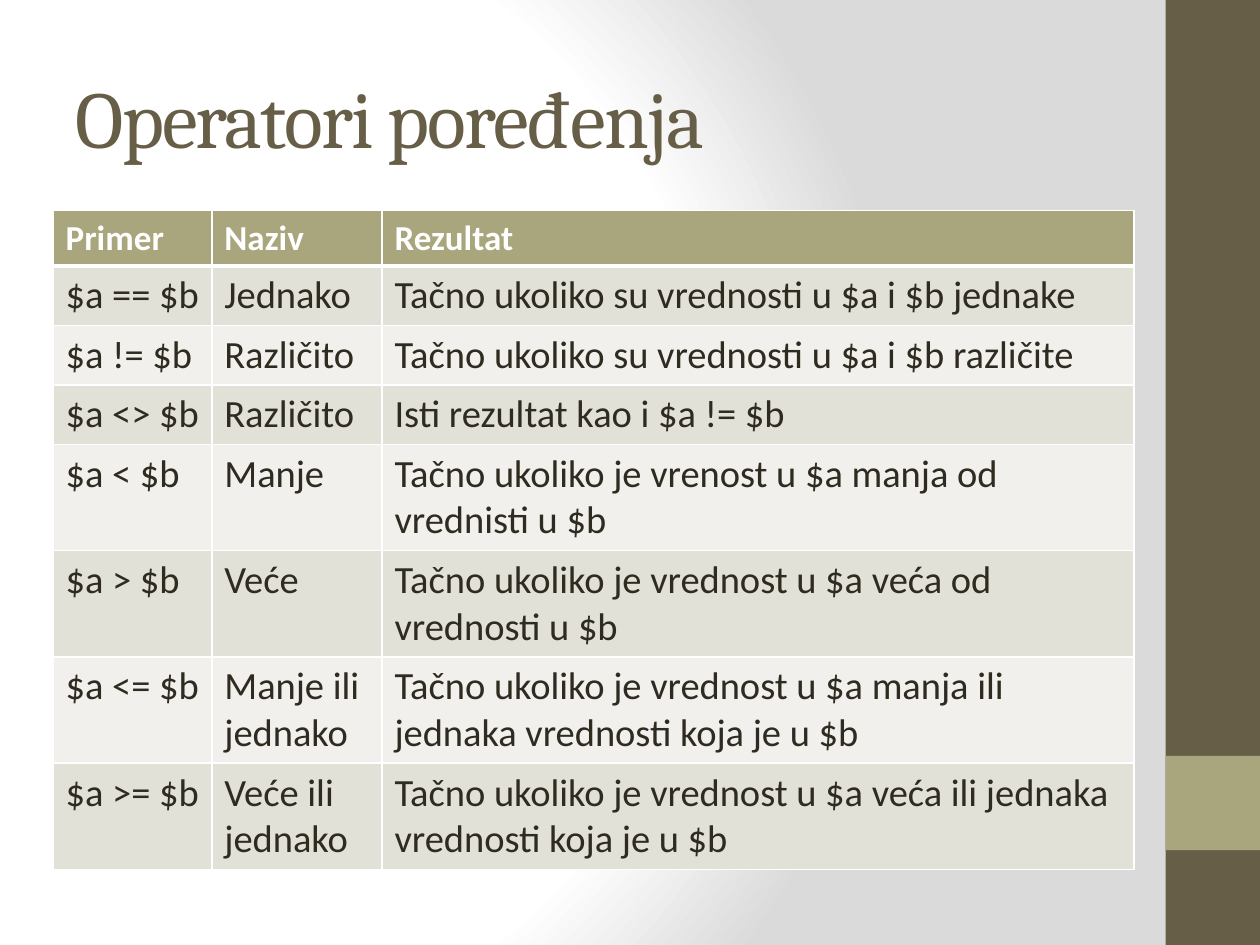
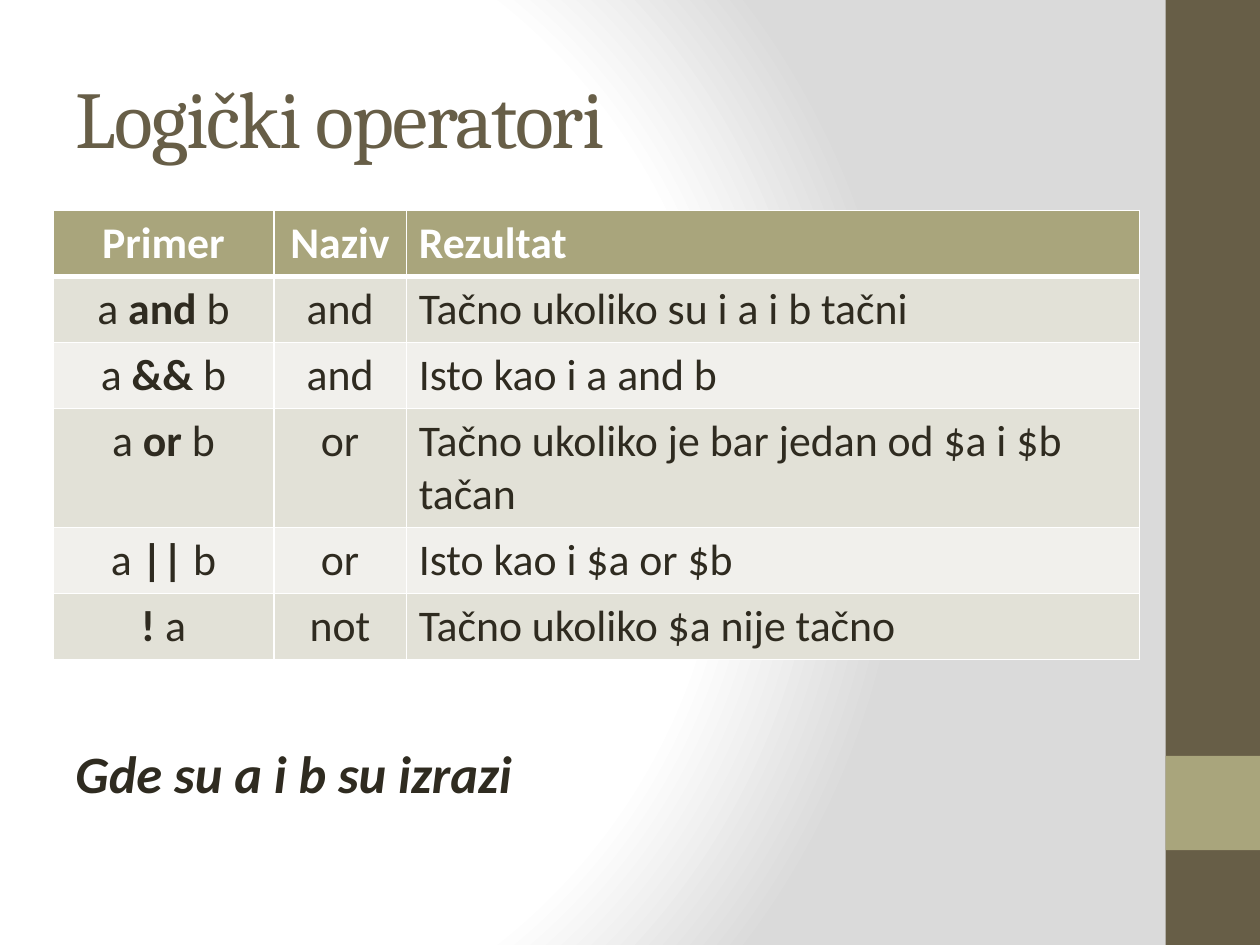
from lxml import etree
from pptx import Presentation
from pptx.dml.color import RGBColor
from pptx.enum import shapes, text
from pptx.oxml import parse_xml
from pptx.oxml.ns import nsdecls, qn
from pptx.util import Cm, Pt

# Shared look
BROWN, OLIVE, INK, WHITE, GREY = "675E47", "A9A57C", "2F2B20", "FFFFFF", "DADADA"
ROW_FILLS = ["E2E1D7", "F1F0EC"]
BODY_FONT, TITLE_FONT = "Calibri", "Cambria"
TITLE_BOX = (1.27, 0.76, 21.16, 3.18)
BAND_BOX = (23.5, 0, 1.9, 19.05)
CENTER, LEFT = text.PP_ALIGN.CENTER, text.PP_ALIGN.LEFT


def color(value):
    return RGBColor.from_string(value)


def lengths(box):
    return [Cm(value) for value in box]


def format_span(span, hex_color, **values):
    for name, value in values.items():
        setattr(span.font, name, value)
    span.font.color.rgb = color(hex_color)


def write_spans(para, content, hex_color, bold=False, **values):
    """Write one paragraph; parts between asterisks are bold."""
    for index, part in enumerate(content.split("*")):
        if part:
            span = para.add_run()
            span.text = part
            format_span(span, hex_color, bold=bold or index % 2 == 1, **values)


def set_background(master):
    """Circular gradient from white to grey on the master."""
    stops = "".join(
        f'<a:gs pos="{position * 1000}"><a:srgbClr val="{value}"/></a:gs>'
        for position, value in [(0, WHITE), (75, WHITE), (100, GREY)])
    background = parse_xml(
        f'<p:bg {nsdecls("p", "a")}><p:bgPr><a:gradFill rotWithShape="1">'
        f'<a:gsLst>{stops}</a:gsLst><a:path path="circle">'
        '<a:fillToRect l="20000" t="50000" r="100000" b="50000"/></a:path>'
        '</a:gradFill><a:effectLst/></p:bgPr></p:bg>')
    common = master.element.find(qn("p:cSld"))
    for old in common.findall(qn("p:bg")):
        common.remove(old)
    common.insert(0, background)


def add_band(page, box):
    """Brown side band with an olive square near its foot."""
    left, top, width, height = box
    square = (left, top + height * 0.8, width, width)
    for part, fill in [(box, BROWN), (square, OLIVE)]:
        shape = page.shapes.add_shape(shapes.MSO_SHAPE.RECTANGLE, *lengths(part))
        shape.shadow.inherit = False
        shape.fill.solid()
        shape.fill.fore_color.rgb = color(fill)
        shape.line.fill.background()


def place_title(page, title, box):
    holder = page.shapes.title
    holder.left, holder.top, holder.width, holder.height = lengths(box)
    frame = holder.text_frame
    frame.word_wrap = True
    frame.auto_size = text.MSO_AUTO_SIZE.NONE
    frame.vertical_anchor = text.MSO_ANCHOR.MIDDLE
    para = frame.paragraphs[0]
    para.alignment = LEFT
    write_spans(para, title, BROWN, size=Pt(46), name=TITLE_FONT)
    para.runs[0].font.size = Pt(46)
    para.runs[0].font._element.set("spc", "-100")


def set_borders(cell, top, bottom):
    """White cell borders; top and bottom widths in points."""
    properties = cell._tc.get_or_add_tcPr()
    widths = {"lnL": 1, "lnR": 1, "lnT": top, "lnB": bottom}
    for index, (tag, width) in enumerate(widths.items()):
        line = etree.Element(qn(f"a:{tag}"), w=str(Pt(width)))
        fill = etree.SubElement(line, qn("a:solidFill"))
        etree.SubElement(fill, qn("a:srgbClr"), val=WHITE)
        properties.insert(index, line)


def add_operator_table(page, corner, widths, rows, sizes, aligns, tall_rows):
    """Header row, then striped rows; tall rows hold two lines."""
    heights = [(2 if index in tall_rows else 1) * sizes[index > 0] * 0.043 + 0.25
               for index in range(len(rows))]
    box = (*corner, sum(widths), sum(heights))
    table = page.shapes.add_table(len(rows), len(widths), *lengths(box)).table
    for column, width in zip(table.columns, widths):
        column.width = Cm(width)
    for index, (row, values) in enumerate(zip(table.rows, rows)):
        header = index == 0
        row.height = Cm(heights[index])
        for cell, value, align in zip(row.cells, values, aligns):
            cell.fill.solid()
            cell.fill.fore_color.rgb = color(
                OLIVE if header else ROW_FILLS[(index - 1) % 2])
            set_borders(cell, 3 if index == 1 else 1, 3 if header else 1)
            para = cell.text_frame.paragraphs[0]
            para.alignment = align
            write_spans(para, value, WHITE if header else INK, bold=header,
                        size=Pt(sizes[not header]), name=BODY_FONT)


def add_note(page, note, box):
    frame = page.shapes.add_textbox(*lengths(box)).text_frame
    frame.word_wrap = False
    frame.auto_size = text.MSO_AUTO_SIZE.SHAPE_TO_FIT_TEXT
    write_spans(frame.paragraphs[0], note, INK, bold=True, italic=True,
                size=Pt(30), name=BODY_FONT)


def add_page(deck, title):
    page = deck.slides.add_slide(deck.slide_layouts.get_by_name("Title Only"))
    add_band(page, BAND_BOX)
    place_title(page, title, TITLE_BOX)
    return page


HEADER = ("Primer", "Naziv", "Rezultat")
TABLE_CORNER = (1.07, 4.24)
COMPARISONS = [
    HEADER,
    ("$a == $b", "Jednako", "Tačno ukoliko su vrednosti u $a i $b jednake"),
    ("$a != $b", "Različito", "Tačno ukoliko su vrednosti u $a i $b različite"),
    ("$a <> $b", "Različito", "Isti rezultat kao i $a != $b"),
    ("$a < $b", "Manje", "Tačno ukoliko je vrenost u $a manja od vrednisti u $b"),
    ("$a > $b", "Veće", "Tačno ukoliko je vrednost u $a veća od vrednosti u $b"),
    ("$a <= $b", "Manje ili jednako",
     "Tačno ukoliko je vrednost u $a manja ili jednaka vrednosti koja je u $b"),
    ("$a >= $b", "Veće ili jednako",
     "Tačno ukoliko je vrednost u $a veća ili jednaka vrednosti koja je u $b"),
]
LOGIC = [
    HEADER,
    ("a *and* b", "and", "Tačno ukoliko su i a i b tačni"),
    ("a *&&* b", "and", "Isto kao i a and b"),
    ("a *or* b", "or", "Tačno ukoliko je bar jedan od $a i $b tačan"),
    ("a *||* b", "or", "Isto kao i $a or $b"),
    ("*! *a", "not", "Tačno ukoliko $a nije tačno"),
]

deck = Presentation()
deck.slide_width, deck.slide_height = Cm(25.4), Cm(19.05)
set_background(deck.slide_master)

# Comparison operators
page = add_page(deck, "Operatori poređenja")
add_operator_table(page, TABLE_CORNER, (3.2, 3.43, 15.16), COMPARISONS,
                   sizes=(20, 22), aligns=(LEFT, LEFT, LEFT), tall_rows=range(4, 8))

# Logical operators
page = add_page(deck, "Logički operatori")
add_operator_table(page, TABLE_CORNER, (4.45, 2.67, 14.78), LOGIC,
                   sizes=(25, 25), aligns=(CENTER, CENTER, LEFT), tall_rows=[3])
add_note(page, "Gde su a i b su izrazi", (1.27, 14.81, 9.37, 1.55))

deck.save("out.pptx")
